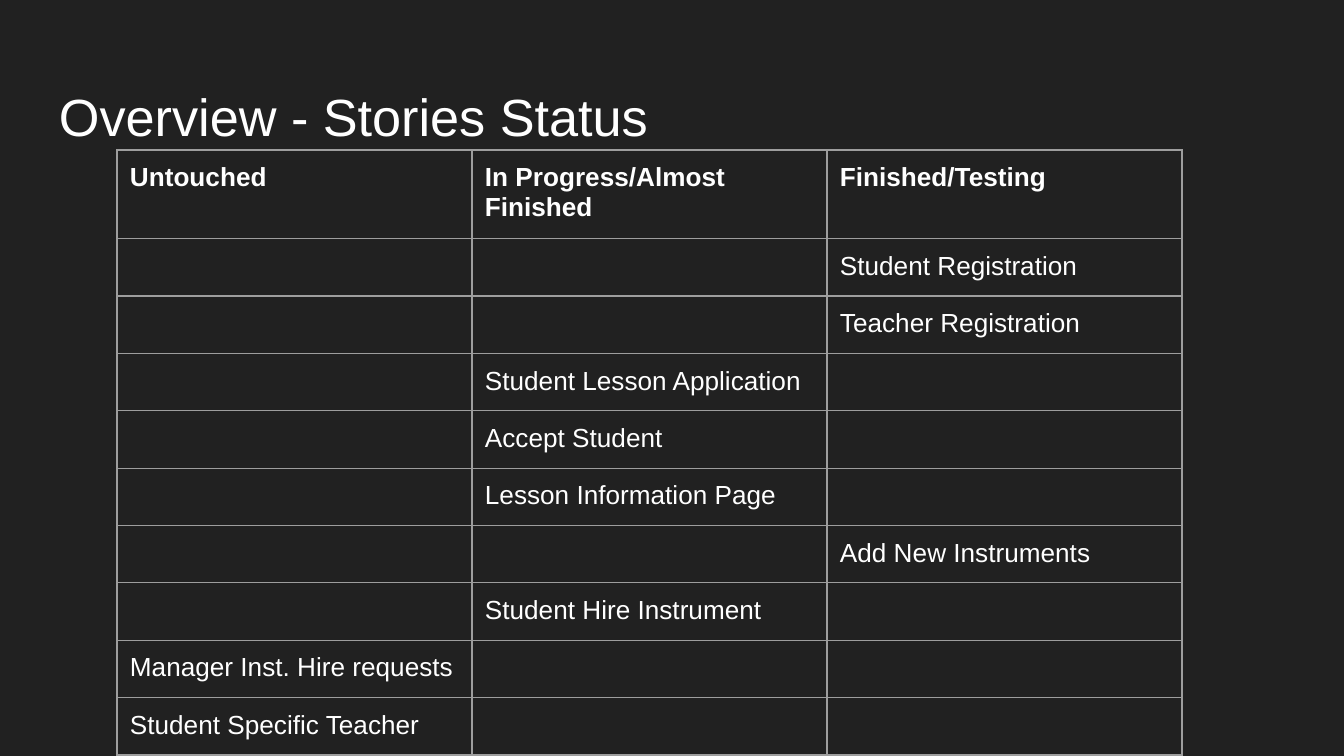
from lxml import etree
from pptx import Presentation
from pptx.dml.color import RGBColor
from pptx.enum.text import MSO_ANCHOR
from pptx.oxml.ns import qn
from pptx.util import Pt

TOP = MSO_ANCHOR.TOP
SCALE = 9144000 / 1344
COLORS = {"background": "212121", "text": "FFFFFF", "border": "9E9E9E"}
BLANK_LAYOUT = 6
INSET = 13
ROW_HEIGHT = 56
COLUMN_WIDTH = 355

HEADINGS = ["Untouched", "In Progress/Almost Finished", "Finished/Testing"]
STORIES = [
    ("Student Registration", 2),
    ("Teacher Registration", 2),
    ("Student Lesson Application", 1),
    ("Accept Student", 1),
    ("Lesson Information Page", 1),
    ("Add New Instruments", 2),
    ("Student Hire Instrument", 1),
    ("Manager Inst. Hire requests", 0),
    ("Student Specific Teacher", 0),
]


def px(length):
    """Turn picture pixels into EMU."""
    return round(length * SCALE)


def write(para, text, size, bold=False):
    """Add one formatted span of text to a paragraph."""
    span = para.add_run()
    span.text = text
    values = {"name": "Arial", "size": Pt(size), "bold": bold}
    for name, value in values.items():
        setattr(span.font, name, value)
    span.font.color.rgb = RGBColor.from_string(COLORS["text"])


deck = Presentation()
deck.slide_width, deck.slide_height = px(1344), px(756)
page = deck.slides.add_slide(deck.slide_layouts[BLANK_LAYOUT])
page.background.fill.solid()
page.background.fill.fore_color.rgb = RGBColor.from_string(COLORS["background"])

# Title
title = page.shapes.add_textbox(px(46), px(66), px(1252), px(84))
title_format = {
    "word_wrap": True,
    "vertical_anchor": TOP,
    "margin_left": px(INSET),
    "margin_right": px(INSET),
    "margin_top": px(18),
    "margin_bottom": px(INSET),
}
for name, value in title_format.items():
    setattr(title.text_frame, name, value)
write(title.text_frame.paragraphs[0], "Overview - Stories Status", 28)

# Status table: each story sits in the column of its status
rows = [HEADINGS]
for story, status in STORIES:
    rows.append([story if column == status else "" for column in range(len(HEADINGS))])

frame = page.shapes.add_table(
    len(rows), len(HEADINGS), px(117), px(150),
    px(COLUMN_WIDTH * len(HEADINGS)), px(ROW_HEIGHT * len(rows)),
)
table = frame.table
table.first_row = table.horz_banding = False
for column in table.columns:
    column.width = px(COLUMN_WIDTH)
for row in table.rows:
    row.height = px(ROW_HEIGHT)

cell_format = {"vertical_anchor": TOP}
for side in ("left", "right", "top", "bottom"):
    cell_format["margin_" + side] = px(INSET)

for row_index, texts in enumerate(rows):
    for column_index, text in enumerate(texts):
        cell = table.cell(row_index, column_index)
        for name, value in cell_format.items():
            setattr(cell, name, value)
        para = cell.text_frame.paragraphs[0]
        if text:
            write(para, text, 14, bold=row_index == 0)
        else:
            # An empty cell keeps the row low only with a small end mark
            etree.SubElement(para._p, qn("a:endParaRPr"), sz="1400")
        properties = cell._tc.get_or_add_tcPr()
        for edge in ("a:lnL", "a:lnR", "a:lnT", "a:lnB"):
            line = etree.SubElement(properties, qn(edge), w=str(Pt(0.75)))
            fill = etree.SubElement(line, qn("a:solidFill"))
            etree.SubElement(fill, qn("a:srgbClr"), val=COLORS["border"])
        cell.fill.background()

deck.save("out.pptx")
